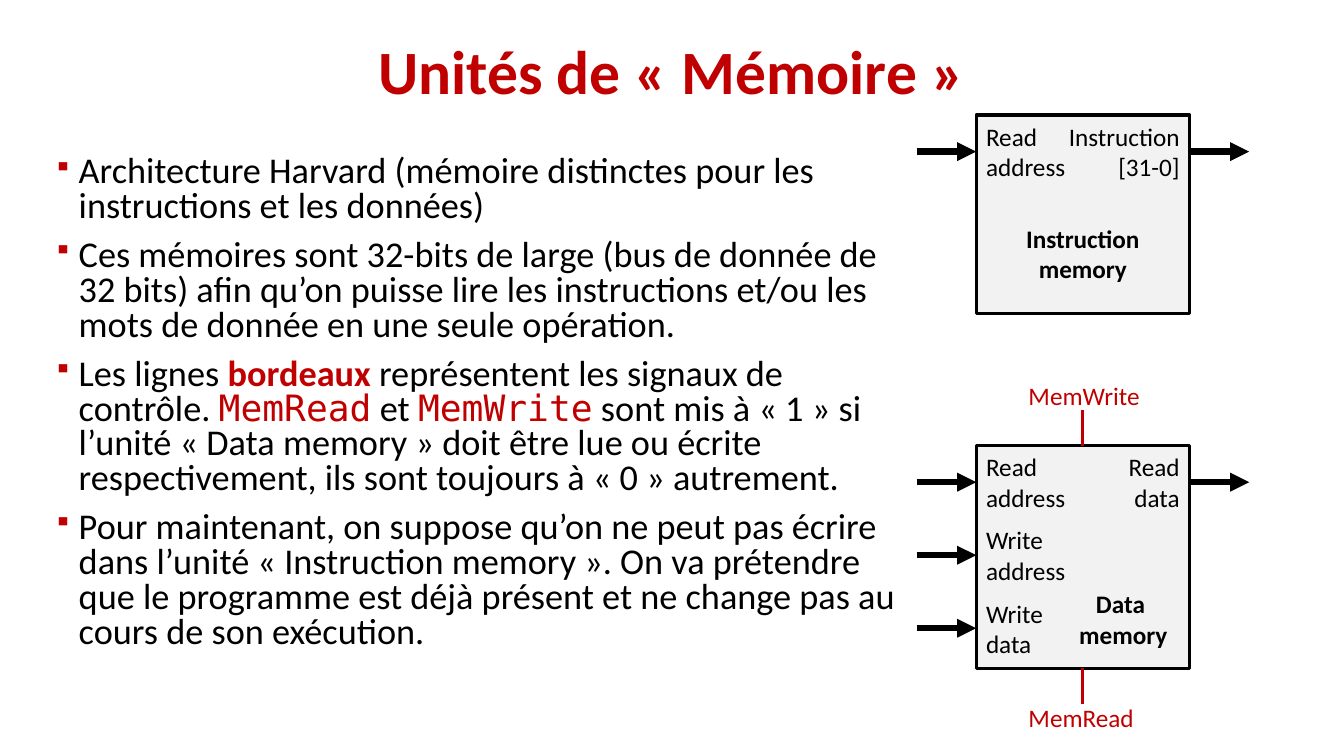
from lxml import etree
from pptx import Presentation
from pptx.dml.color import RGBColor
from pptx.enum.shapes import MSO_CONNECTOR, MSO_SHAPE
from pptx.enum.text import MSO_ANCHOR, PP_ALIGN
from pptx.oxml.ns import qn
from pptx.util import Cm, Pt

LEFT, CENTER, RIGHT = PP_ALIGN.LEFT, PP_ALIGN.CENTER, PP_ALIGN.RIGHT
MIDDLE = MSO_ANCHOR.MIDDLE
STRAIGHT = MSO_CONNECTOR.STRAIGHT
RECTANGLE = MSO_SHAPE.RECTANGLE

BLACK, BORDEAUX, GREY = "000000", "C00000", "F2F2F2"
SANS, MONO = "Calibri", "DejaVu Sans Mono"

BLOCK_WIDTH = 5.38
ARROW_LENGTH = 1.5
FIRST_PORT = 0.92
PORT_PITCH = 1.84
LABEL_HEIGHT = 1.8
STUB_LENGTH = 0.9

# Each bullet is a list of (text, style) spans.
BULLETS = [
    [("Architecture Harvard (mémoire distinctes pour les instructions et les données)", "plain")],
    [("Ces mémoires sont 32-bits de large (bus de donnée de 32 bits) afin qu’on puisse lire "
      "les instructions et/ou les mots de donnée en une seule opération.", "plain")],
    [("Les lignes ", "plain"), ("bordeaux", "strong"),
     (" représentent les signaux de contrôle. ", "plain"),
     ("MemRead", "signal"), (" et ", "plain"), ("MemWrite", "signal"),
     (" sont mis à « 1 » si l’unité « Data memory » doit être lue ou écrite "
      "respectivement, ils sont toujours à « 0 » autrement.", "plain")],
    [("Pour maintenant, on suppose qu’on ne peut pas écrire dans l’unité "
      "« Instruction memory ». On va prétendre que le programme est déjà présent "
      "et ne change pas au cours de son exécution.", "plain")],
]
STYLES = {
    "plain": (SANS, BLACK, False),
    "strong": (SANS, BORDEAUX, True),
    "signal": (MONO, BORDEAUX, False),
}


def rgb(color):
    return RGBColor.from_string(color)


def format_span(span, size, color=BLACK, bold=False, font=SANS):
    span.font.name = font
    span.font.size = Pt(size)
    span.font.bold = bold
    span.font.color.rgb = rgb(color)


def add_text(shapes, text, left, top, width, height, size=18, color=BLACK,
             bold=False, align=LEFT):
    box = shapes.add_textbox(Cm(left), Cm(top), Cm(width), Cm(height))
    frame = box.text_frame
    frame.word_wrap = True
    frame.text = text
    for para in frame.paragraphs:
        para.alignment = align
        for span in para.runs:
            format_span(span, size, color, bold)
    return frame


def add_line(shapes, x1, y1, x2, y2, color, weight, arrow=False):
    line = shapes.add_connector(STRAIGHT, Cm(x1), Cm(y1), Cm(x2), Cm(y2))
    line.line.color.rgb = rgb(color)
    line.line.width = Pt(weight)
    if arrow:
        etree.SubElement(line.line._get_or_add_ln(), qn("a:tailEnd"), type="triangle")
    etree.SubElement(line._element.spPr, qn("a:effectLst"))


def add_title(page, left, top, width, height):
    frame = add_text(page.shapes, "Unités de « Mémoire »", left, top, width, height,
                     size=44, color=BORDEAUX, bold=True, align=CENTER)
    frame.vertical_anchor = MIDDLE
    frame.paragraphs[0].line_spacing = 0.9


def set_bullet(para):
    properties = para._p.get_or_add_pPr()
    properties.set("marL", str(Cm(0.635)))
    properties.set("indent", str(-Cm(0.635)))
    color = etree.SubElement(properties, qn("a:buClr"))
    etree.SubElement(color, qn("a:srgbClr"), val=BORDEAUX)
    etree.SubElement(properties, qn("a:buSzPct"), val="70000")
    etree.SubElement(properties, qn("a:buChar"), char="▪")


def add_bullets(page, left, top, width, height):
    frame = page.shapes.add_textbox(Cm(left), Cm(top), Cm(width), Cm(height)).text_frame
    frame.word_wrap = True
    for index, spans in enumerate(BULLETS):
        para = frame.add_paragraph() if index else frame.paragraphs[0]
        para.line_spacing = 0.8
        para.space_before = Pt(10)
        set_bullet(para)
        for text, style in spans:
            font, color, bold = STYLES[style]
            span = para.add_run()
            span.text = text
            format_span(span, 25.9, color, bold, font)


def add_memory(page, left, top, height, inputs, output, output_width,
               name, name_shift, name_top):
    """Draw a memory block with its ports and name; return the shapes of its group."""
    shapes = page.shapes.add_group_shape().shapes
    right = left + BLOCK_WIDTH
    block = shapes.add_shape(RECTANGLE, Cm(left), Cm(top), Cm(BLOCK_WIDTH), Cm(height))
    block.shadow.inherit = False
    block.fill.solid()
    block.fill.fore_color.rgb = rgb(GREY)
    block.line.color.rgb = rgb(BLACK)
    block.line.width = Pt(2.25)

    for index, label in enumerate(inputs):
        offset = index * PORT_PITCH
        port = top + FIRST_PORT + offset
        add_text(shapes, label, left, top + 0.03 + offset, 2.69, LABEL_HEIGHT)
        add_line(shapes, left - ARROW_LENGTH, port, left, port, BLACK, 4.5, arrow=True)

    port = top + FIRST_PORT
    add_text(shapes, output, right - output_width, top + 0.03, output_width,
             LABEL_HEIGHT, align=RIGHT)
    add_line(shapes, right, port, right + ARROW_LENGTH, port, BLACK, 4.5, arrow=True)

    name_width = 3.6
    name_left = left + (BLOCK_WIDTH - name_width) / 2 + name_shift
    add_text(shapes, name, name_left, top + name_top, name_width, LABEL_HEIGHT,
             bold=True, align=CENTER)
    return shapes


def add_control(shapes, label, left, edge, direction, label_top):
    """Draw a control line leaving the block edge, up (-1) or down (1)."""
    middle = left + BLOCK_WIDTH / 2
    add_line(shapes, middle, edge, middle, edge + direction * STUB_LENGTH, BORDEAUX, 2.25)
    add_text(shapes, label, left + 1.07, label_top, 3.8, 1.02, color=BORDEAUX)


def add_instruction_memory(page, left, top):
    add_memory(page, left, top, 5, ["Read address"], "Instruction [31-0]", 3.35,
               "Instruction\nmemory", 0, 2.6)


def add_data_memory(page, left, top):
    height = 5.61
    bottom = top + height
    shapes = add_memory(page, left, top, height,
                        ["Read address", "Write address", "Write data"],
                        "Read data", 3.07, "Data \nmemory", 1.02, 3.48)
    add_control(shapes, "MemWrite", left, top, -1, top - 1.78)
    add_control(shapes, "MemRead", left, bottom, 1, bottom + 0.74)


def main():
    deck = Presentation()
    deck.slide_width, deck.slide_height = Cm(33.87), Cm(19.05)
    page = deck.slides.add_slide(deck.slide_layouts[6])
    add_instruction_memory(page, 24.6, 2.9)
    add_data_memory(page, 24.6, 11.23)
    add_title(page, 2.33, 0.05, 29.21, 3.68)
    add_bullets(page, 1.1, 3.81, 21.74, 13.36)
    deck.save("out.pptx")


if __name__ == "__main__":
    main()
